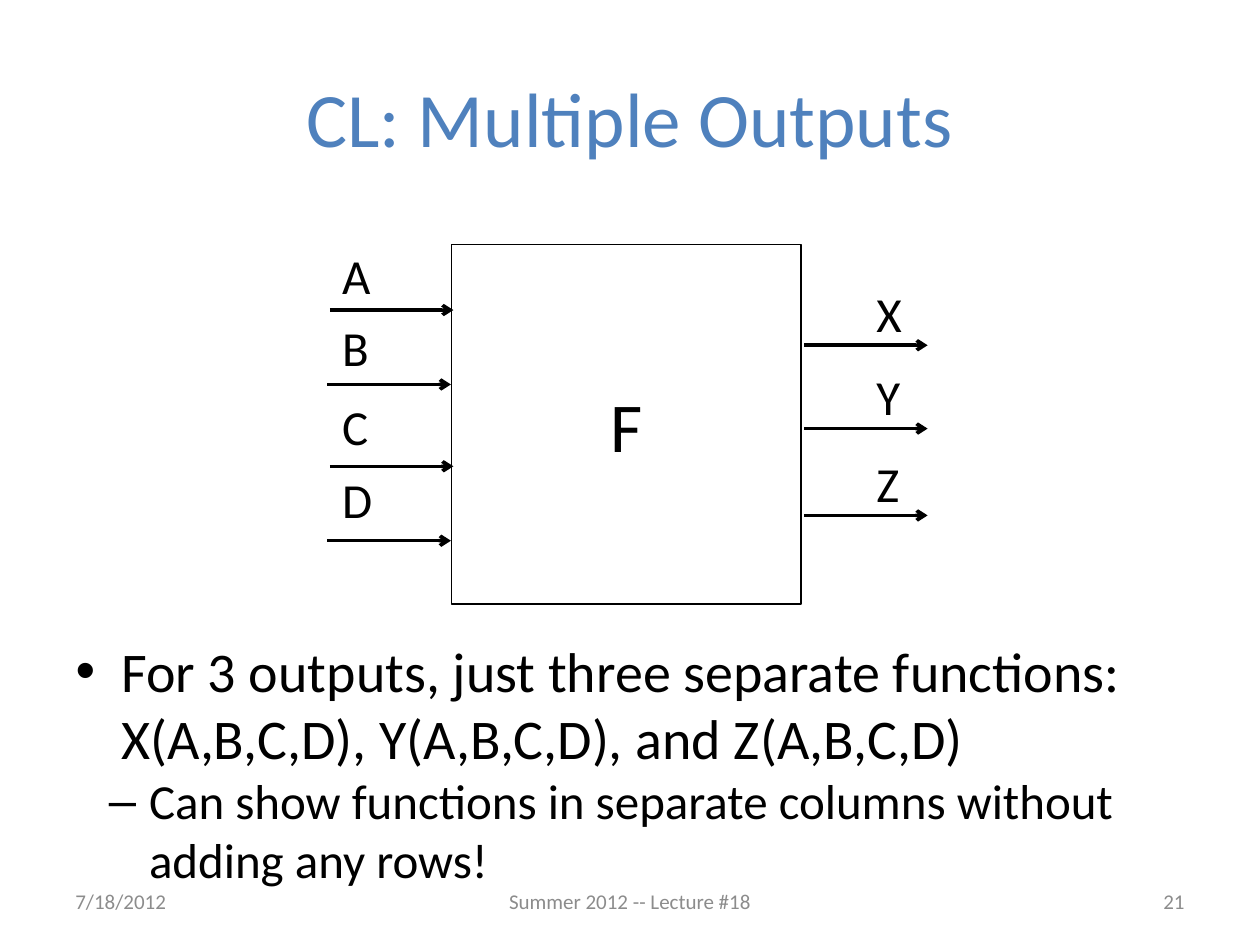
from lxml.etree import SubElement
from pptx import Presentation
from pptx.dml.color import RGBColor
from pptx.enum.shapes import MSO_CONNECTOR, MSO_SHAPE
from pptx.enum.text import MSO_ANCHOR as ANCHOR, MSO_AUTO_SIZE as AUTO, PP_ALIGN as ALIGN
from pptx.oxml.ns import qn
from pptx.util import Cm, Pt

TITLE = "CL: Multiple Outputs"
BULLETS = [  # text, level, size, margin, hanging, mark
    ("For 3 outputs, just three separate functions:\vX(A,B,C,D), Y(A,B,C,D), and Z(A,B,C,D)",
     0, 32, 0.92, 0.92, "•"),
    ("Can show functions in separate columns without\vadding any rows!",
     1, 28, 1.48, 0.81, "–"),
]
FOOTERS = [
    ("7/18/2012", 1.27, 5.93, ALIGN.LEFT),
    ("Summer 2012 -- Lecture #18", 8.68, 8.04, ALIGN.CENTER),
    ("21", 18.2, 5.93, ALIGN.RIGHT),
]
SIGNALS = [
    ("A", 6.65, 6.25, 6.65, 4.83),
    ("B", 6.6, 7.75, 6.65, 6.27),
    ("C", 6.65, 9.4, 6.65, 7.87),
    ("D", 6.6, 10.9, 6.65, 9.35),
    ("X", 16.21, 6.96, 17.42, 5.59),
    ("Y", 16.21, 8.64, 17.42, 7.26),
    ("Z", 16.21, 10.39, 17.42, 9.02),
]
ARROW_LENGTH = 2.49
BLACK, BLUE, GREY = "000000", "4F81BD", "8C8C8C"


def color(hex_code):
    return RGBColor.from_string(hex_code)


def write(p, text, size=28, fill=BLACK, align=ALIGN.LEFT):
    p.text = text
    p.alignment = align
    for r in p.runs:
        r.font.name = "Calibri"
        r.font.size = Pt(size)
        r.font.color.rgb = color(fill)


def place(sp, left, top, width, height):
    sp.left, sp.top, sp.width, sp.height = map(Cm, (left, top, width, height))


def add_label(shapes, text, box, wrap=True, anchor=ANCHOR.TOP, **fmt):
    tf = shapes.add_textbox(*map(Cm, box)).text_frame
    tf.word_wrap = wrap
    tf.vertical_anchor = anchor
    write(tf.paragraphs[0], text, **fmt)


def add_arrow(shapes, x, y):
    line = shapes.add_connector(MSO_CONNECTOR.STRAIGHT, Cm(x), Cm(y), Cm(x + ARROW_LENGTH), Cm(y))
    line.line.color.rgb = color(BLACK)
    line.line.width = Pt(2)
    SubElement(line.line._get_or_add_ln(), qn("a:tailEnd"), type="arrow")
    SubElement(line._element.spPr, qn("a:effectLst"))


def fill_body(body):
    place(body, 1.27, 12.7, 22.86, 5.38)
    tf = body.text_frame
    tf.auto_size = AUTO.NONE
    for i, (text, level, size, margin, hanging, mark) in enumerate(BULLETS):
        p = tf.add_paragraph() if i else tf.paragraphs[0]
        write(p, text, size=size)
        p.level = level
        p.space_before = Pt(0)
        pPr = p._p.get_or_add_pPr()
        pPr.set("marL", str(Cm(margin)))
        pPr.set("indent", str(-Cm(hanging)))
        SubElement(pPr, qn("a:buChar"), char=mark)


def add_function_box(shapes):
    sp = shapes.add_shape(MSO_SHAPE.RECTANGLE, Cm(9.1), Cm(4.93), Cm(7.05), Cm(7.25))
    sp.shadow.inherit = False
    sp.fill.background()
    sp.line.color.rgb = color(BLACK)
    sp.line.width = Pt(0.75)
    sp.text_frame.vertical_anchor = ANCHOR.MIDDLE
    write(sp.text_frame.paragraphs[0], "F", size=40, align=ALIGN.CENTER)


def main():
    """Build the slide on a block with four inputs and three outputs."""
    prs = Presentation()
    prs.slide_width, prs.slide_height = Cm(25.4), Cm(19.05)
    s = prs.slides.add_slide(prs.slide_layouts[1])
    title, body = s.placeholders
    place(title, 1.27, 0.76, 22.86, 3.18)
    title.text_frame.vertical_anchor = ANCHOR.MIDDLE
    write(title.text_frame.paragraphs[0], TITLE, size=44, fill=BLUE, align=ALIGN.CENTER)
    fill_body(body)
    for text, left, width, align in FOOTERS:
        add_label(s.shapes, text, (left, 17.65, width, 1.02), anchor=ANCHOR.MIDDLE,
                  size=12, fill=GREY, align=align)
    add_function_box(s.shapes)
    for name, x, y, label_x, label_y in SIGNALS:
        add_arrow(s.shapes, x, y)
        add_label(s.shapes, name, (label_x, label_y, 1.05, 1.45), wrap=False)
    prs.save("out.pptx")


if __name__ == "__main__":
    main()
